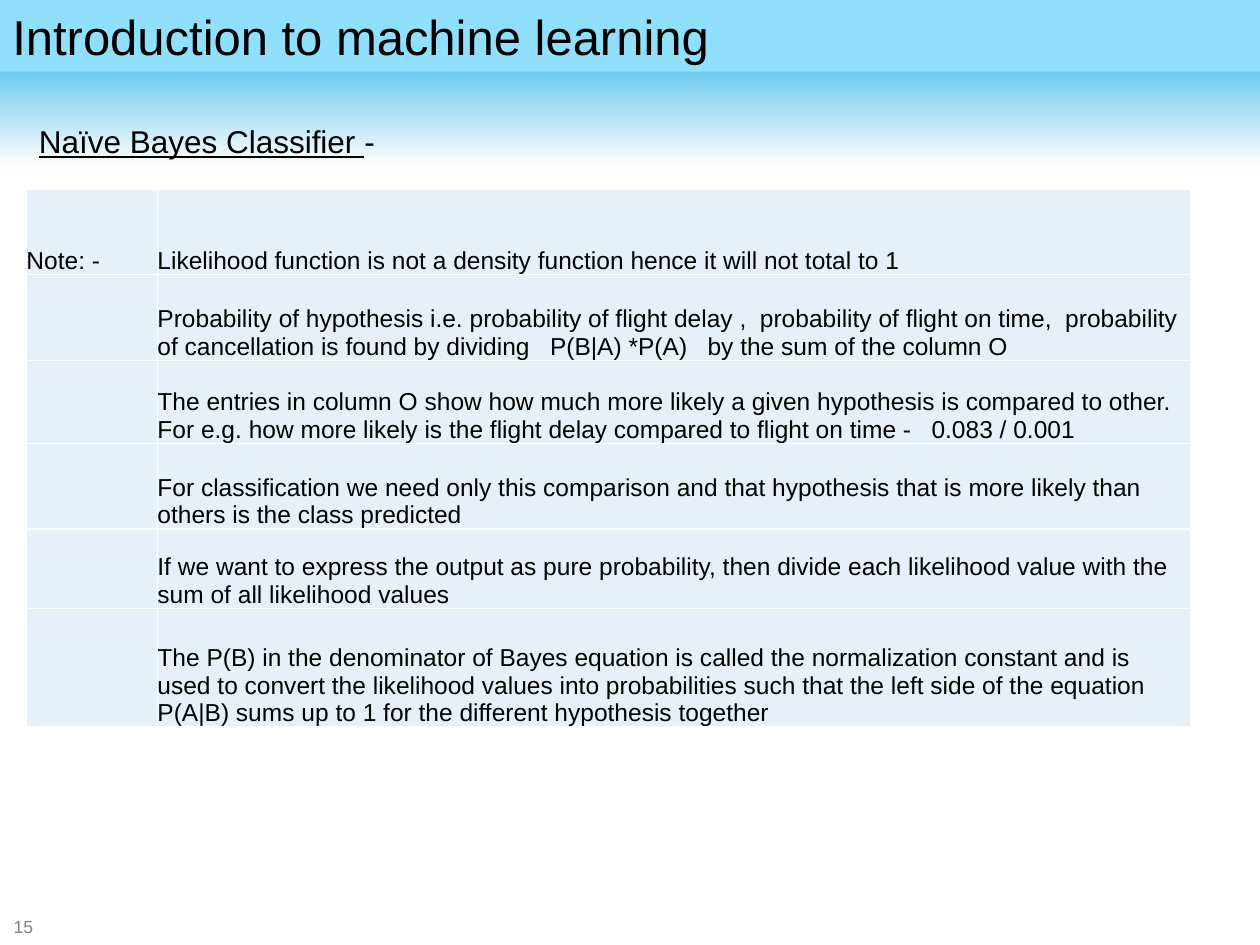
import dataclasses

import lxml.etree
import pptx
import pptx.dml.color
import pptx.enum.shapes
import pptx.enum.text
import pptx.oxml.ns
import pptx.util

Inches = pptx.util.Inches
Pt = pptx.util.Pt
RGBColor = pptx.dml.color.RGBColor
Anchor = pptx.enum.text.MSO_ANCHOR


@dataclasses.dataclass(frozen=True)
class Theme:
    font: str = "Arial"
    text: str = "000000"
    muted: str = "808080"
    title_band: str = "8FDFFD"
    fade_start: str = "03A2DF"
    fade_end: str = "FFFFFF"
    cell: str = "E7F0F9"
    border: str = "FFFFFF"
    title_size: int = 28
    heading_size: int = 18
    table_size: int = 14
    number_size: int = 10


THEME = Theme()

NOTES = [
    "Likelihood function is not a density function hence it will not total to 1",
    "Probability of hypothesis i.e. probability of flight delay ,  probability of flight on time,  "
    "probability of cancellation is found by dividing   P(B|A) *P(A)   by the sum of the column O",
    "The entries in column O show how much more likely a given hypothesis is compared to other.  "
    "For e.g. how more likely is the flight delay compared to flight on time -   0.083 / 0.001",
    "For classification we need only this comparison and that hypothesis that is more likely than "
    "others is the class predicted",
    "If we want to express the output as pure probability, then divide each likelihood value with "
    "the sum of all likelihood values",
    "The P(B) in the denominator of Bayes equation is called the normalization constant and is used "
    "to convert the likelihood values into probabilities such that the left side of the equation "
    "P(A|B) sums up to 1 for the different hypothesis together",
]
COLUMN_WIDTHS = [1.04, 8.2]
ROW_HEIGHTS = [0.68, 0.68, 0.66, 0.68, 0.63, 0.94]


def set_attributes(target, values):
    for name, value in values.items():
        setattr(target, name, value)


def format_font(font, size, color=THEME.text, **extra):
    set_attributes(font, {"name": THEME.font, "size": Pt(size), **extra})
    font.color.rgb = RGBColor.from_string(color)


def write_runs(text_frame, runs, size, color=THEME.text, anchor=Anchor.TOP):
    set_attributes(text_frame, {"word_wrap": True, "vertical_anchor": anchor})
    paragraph = text_frame.paragraphs[0]
    paragraph.alignment = pptx.enum.text.PP_ALIGN.LEFT
    for text, underline in runs:
        run = paragraph.add_run()
        run.text = text
        format_font(run.font, size, color, underline=underline)


def add_text(slide, box, runs, size, **options):
    shape = slide.shapes.add_textbox(*map(Inches, box))
    write_runs(shape.text_frame, runs, size, **options)


def add_band(slide, height):
    shape = slide.shapes.add_shape(
        pptx.enum.shapes.MSO_SHAPE.RECTANGLE, 0, 0, Inches(10), Inches(height)
    )
    shape.shadow.inherit = False
    shape.line.fill.background()
    return shape


def add_fade(slide):
    fill = add_band(slide, 1.33).fill
    fill.gradient()
    fill.gradient_angle = 270
    for stop, color in zip(fill.gradient_stops, (THEME.fade_start, THEME.fade_end)):
        stop.color.rgb = RGBColor.from_string(color)


def add_title(slide, text):
    band = add_band(slide, 0.57)
    band.fill.solid()
    band.fill.fore_color.rgb = RGBColor.from_string(THEME.title_band)
    write_runs(band.text_frame, [(text, False)], THEME.title_size)


def add_cell_borders(cell):
    qn = pptx.oxml.ns.qn
    properties = cell._tc.get_or_add_tcPr()
    for side in ("lnL", "lnR", "lnT", "lnB"):
        line = lxml.etree.SubElement(properties, qn(f"a:{side}"), w=str(Pt(1)))
        fill = lxml.etree.SubElement(line, qn("a:solidFill"))
        lxml.etree.SubElement(fill, qn("a:srgbClr"), val=THEME.border)


def fill_cell(cell, text):
    margins = dict.fromkeys(("margin_left", "margin_right", "margin_top", "margin_bottom"), 0)
    set_attributes(cell, {**margins, "vertical_anchor": Anchor.BOTTOM})
    add_cell_borders(cell)
    cell.fill.solid()
    cell.fill.fore_color.rgb = RGBColor.from_string(THEME.cell)
    cell.text = text
    paragraph = cell.text_frame.paragraphs[0]
    for item in (paragraph, *paragraph.runs):
        format_font(item.font, THEME.table_size)


def add_notes_table(slide, left, top):
    box = (left, top, sum(COLUMN_WIDTHS), sum(ROW_HEIGHTS))
    table = slide.shapes.add_table(
        len(ROW_HEIGHTS), len(COLUMN_WIDTHS), *map(Inches, box)
    ).table
    set_attributes(table, {"first_row": False, "horz_banding": False})
    for column, width in zip(table.columns, COLUMN_WIDTHS):
        column.width = Inches(width)
    for index, (row, height, note) in enumerate(zip(table.rows, ROW_HEIGHTS, NOTES)):
        row.height = Inches(height)
        label = "Note: -" if index == 0 else ""
        for cell, text in zip(row.cells, (label, note)):
            fill_cell(cell, text)


def main():
    presentation = pptx.Presentation()
    set_attributes(presentation, {"slide_width": Inches(10), "slide_height": Inches(7.5)})
    slide = presentation.slides.add_slide(presentation.slide_layouts[6])
    add_fade(slide)
    add_text(
        slide, (0.01, 7.27, 0.39, 0.16), [("15", False)], THEME.number_size,
        color=THEME.muted, anchor=Anchor.MIDDLE,
    )
    add_title(slide, "Introduction to machine learning")
    add_text(
        slide, (0.21, 0.92, 9.21, 0.45),
        [("Naïve Bayes Classifier ", True), ("-", False)], THEME.heading_size,
    )
    add_notes_table(slide, 0.21, 1.5)
    presentation.save("out.pptx")


if __name__ == "__main__":
    main()
